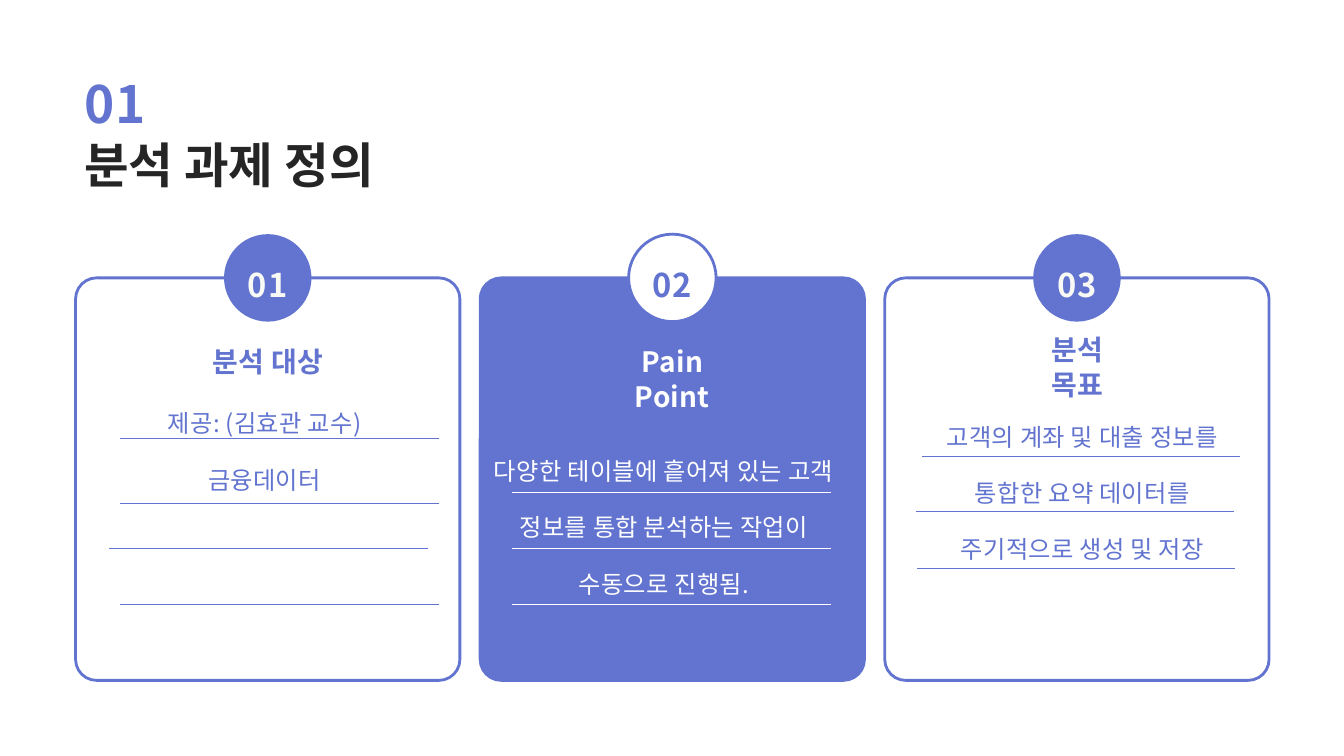
import pptx
import pptx.util
import pptx.dml.color
import pptx.enum.shapes
import pptx.enum.text
import pptx.oxml.ns
import lxml.etree
from dataclasses import dataclass

# Content
SECTION = "01"
TITLE = "분석 과제 정의"
# body: offset from card left, top, width, height; rules: offset, y
CARDS = [
    {"number": "01", "heading": ["분석 대상"], "heading_top": 490, "filled": False,
     "body": ["제공: (김효관 교수)", "금융데이터"], "body_box": (105, 545, 330, 151),
     "rules": [(64, 626), (64, 719), (48, 784), (64, 864)]},
    {"number": "02", "heading": ["Pain", "Point"], "heading_top": 490, "filled": True,
     "body": ["다양한 테이블에 흩어져 있는 고객 정보를 통합 분석하는 작업이 수동으로 진행됨."],
     "body_box": (4, 613, 517, 231),
     "rules": [(46, 703), (46, 783), (46, 864)]},
    {"number": "03", "heading": ["분석", "목표"], "heading_top": 473, "filled": False,
     "body": ["고객의 계좌 및 대출 정보를 통합한 요약 데이터를 주기적으로 생성 및 저장"],
     "body_box": (56, 564, 453, 231),
     "rules": [(53, 652), (44, 730), (46, 812)]},
]


@dataclass(frozen=True)
class Style:
    size: int
    leading: float
    spacing: float
    bold: bool = True


class Theme:
    font = "Noto Sans CJK KR"
    accent, dark, white, pale = "6274CF", "252525", "FFFFFF", "F9FAF5"
    section = Style(55, 110, 1.3)
    title = Style(52, 104, 0)
    number = Style(35, 70, 1.1)
    heading = Style(30, 37.5, 0.3)
    body = Style(26, 60.3, 0.3, False)
    outline, rule = 3, 0.75


# Layout in px, 96 to the inch
CARD_LEFT, CARD_TOP, CARD_W, CARD_H, CARD_STEP = 108, 397, 549, 575, 578
RADIUS, BADGE, NUMBER_W, HEADING_W, HEADING_LINE, RULE_W = 30, 125, 83, 349, 50, 455
ALIGN = pptx.enum.text.PP_ALIGN
SHAPE = pptx.enum.shapes.MSO_SHAPE


def px(n):
    return pptx.util.Emu(round(n * 9525))


def rgb(value):
    return pptx.dml.color.RGBColor.from_string(value)


def write(sp, lines, style, color, align=ALIGN.CENTER):
    tf = sp.text_frame
    tf.word_wrap = True
    tf.auto_size = pptx.enum.text.MSO_AUTO_SIZE.SHAPE_TO_FIT_TEXT
    tf.vertical_anchor = pptx.enum.text.MSO_ANCHOR.TOP
    tf.margin_left = tf.margin_right = tf.margin_top = tf.margin_bottom = 0
    for i, line in enumerate(lines):
        p = tf.add_paragraph() if i else tf.paragraphs[0]
        p.alignment = align
        p.line_spacing = pptx.util.Pt(style.leading)
        p.space_before = pptx.util.Pt(0)
        r = p.add_run()
        r.text = line
        r.font.size = pptx.util.Pt(style.size)
        r.font.bold = style.bold
        r.font.color.rgb = rgb(color)
        r.font.name = Theme.font
        rpr = r.font._element
        rpr.set("spc", str(round(style.spacing * 100)))
        ea = lxml.etree.SubElement(rpr, pptx.oxml.ns.qn("a:ea"))
        ea.set("typeface", Theme.font)


def add_text(s, box, *args):
    write(s.shapes.add_textbox(*map(px, box)), *args)


def add_panel(s, kind, box, fill, line):
    sp = s.shapes.add_shape(kind, *map(px, box))
    sp.shadow.inherit = False
    if fill:
        sp.fill.solid()
        sp.fill.fore_color.rgb = rgb(fill)
    else:
        sp.fill.background()
    if line:
        sp.line.color.rgb = rgb(line)
        sp.line.width = pptx.util.Pt(Theme.outline)
    else:
        sp.line.fill.background()
    return sp


def add_rule(s, x, y, color):
    line = s.shapes.add_connector(pptx.enum.shapes.MSO_CONNECTOR.STRAIGHT,
                                  px(x), px(y), px(x + RULE_W), px(y))
    line.line.color.rgb = rgb(color)
    line.line.width = pptx.util.Pt(Theme.rule)
    lxml.etree.SubElement(line._element.spPr, pptx.oxml.ns.qn("a:effectLst"))


def add_card(s, left, card):
    filled = card["filled"]
    ink = Theme.white if filled else Theme.accent
    center = left + CARD_W / 2

    # Panel and number badge
    panel = add_panel(s, SHAPE.ROUNDED_RECTANGLE, (left, CARD_TOP, CARD_W, CARD_H),
                      Theme.accent if filled else None, Theme.accent)
    panel.adjustments[0] = RADIUS / CARD_W
    add_panel(s, SHAPE.OVAL, (center - BADGE / 2, CARD_TOP - BADGE / 2, BADGE, BADGE),
              Theme.white if filled else Theme.accent,
              Theme.accent if filled else None)
    add_text(s, (center - NUMBER_W / 2, 341, NUMBER_W, NUMBER_W), [card["number"]],
             Theme.number, Theme.accent if filled else Theme.pale)

    # Heading, body and ruled lines
    add_text(s, (center - HEADING_W / 2, card["heading_top"], HEADING_W,
                 HEADING_LINE * len(card["heading"])),
             card["heading"], Theme.heading, ink)
    x, *rest = card["body_box"]
    add_text(s, (left + x, *rest), card["body"], Theme.body, ink)
    for x, y in card["rules"]:
        add_rule(s, left + x, y, ink)


def main():
    prs = pptx.Presentation()
    prs.slide_width, prs.slide_height = px(1920), px(1080)
    s = prs.slides.add_slide(prs.slide_layouts[5])

    # Section number and title
    add_text(s, (120, 44, 147, 132), [SECTION], Theme.section, Theme.accent, ALIGN.LEFT)
    title = s.shapes.title
    title.left, title.top, title.width, title.height = map(px, (120, 137, 557, 125))
    write(title, [TITLE], Theme.title, Theme.dark, ALIGN.LEFT)

    # Cards
    for i, card in enumerate(CARDS):
        add_card(s, CARD_LEFT + i * CARD_STEP, card)

    prs.save("out.pptx")


if __name__ == "__main__":
    main()
